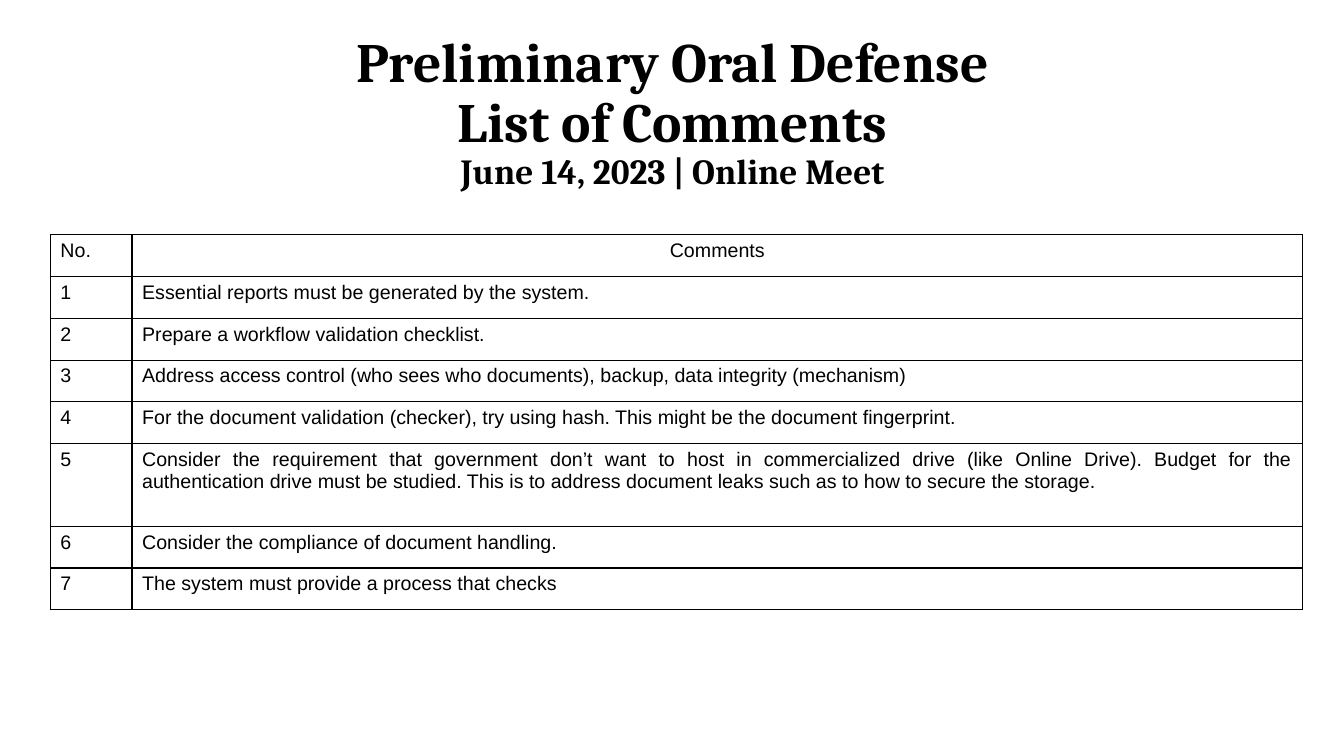
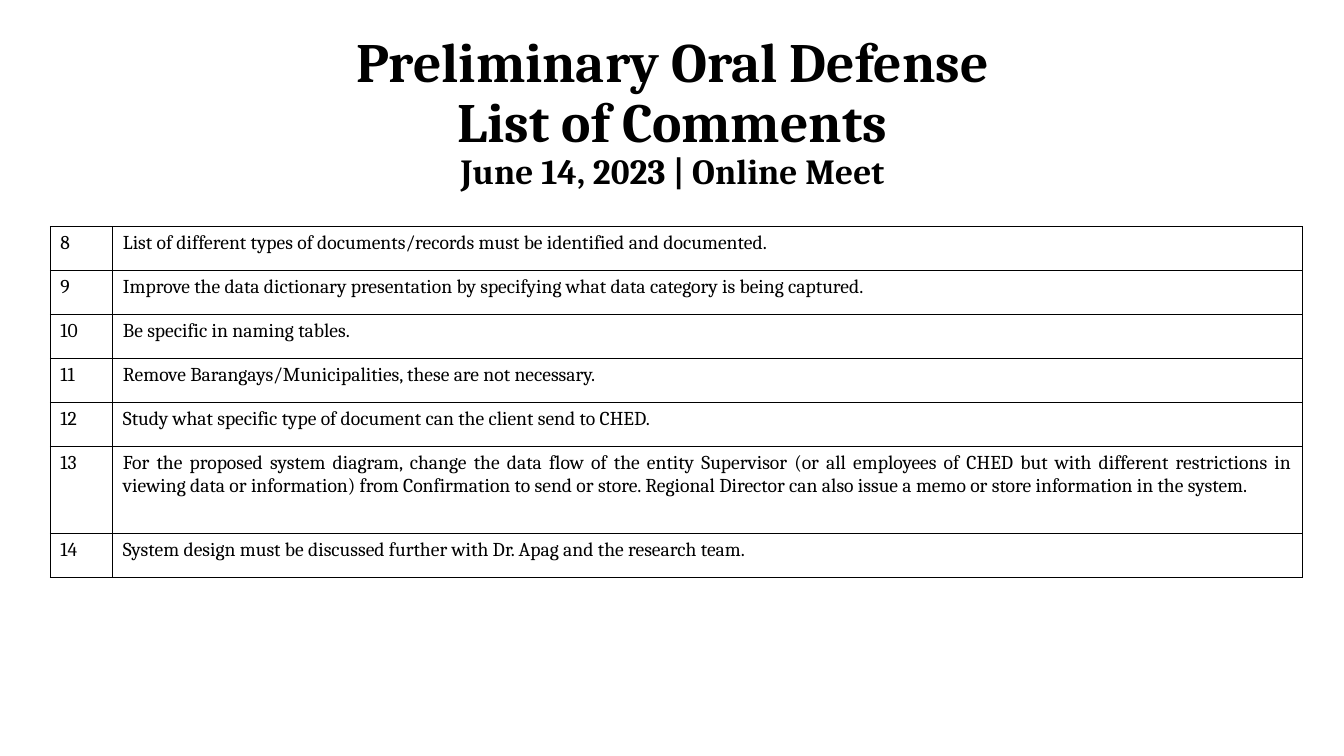
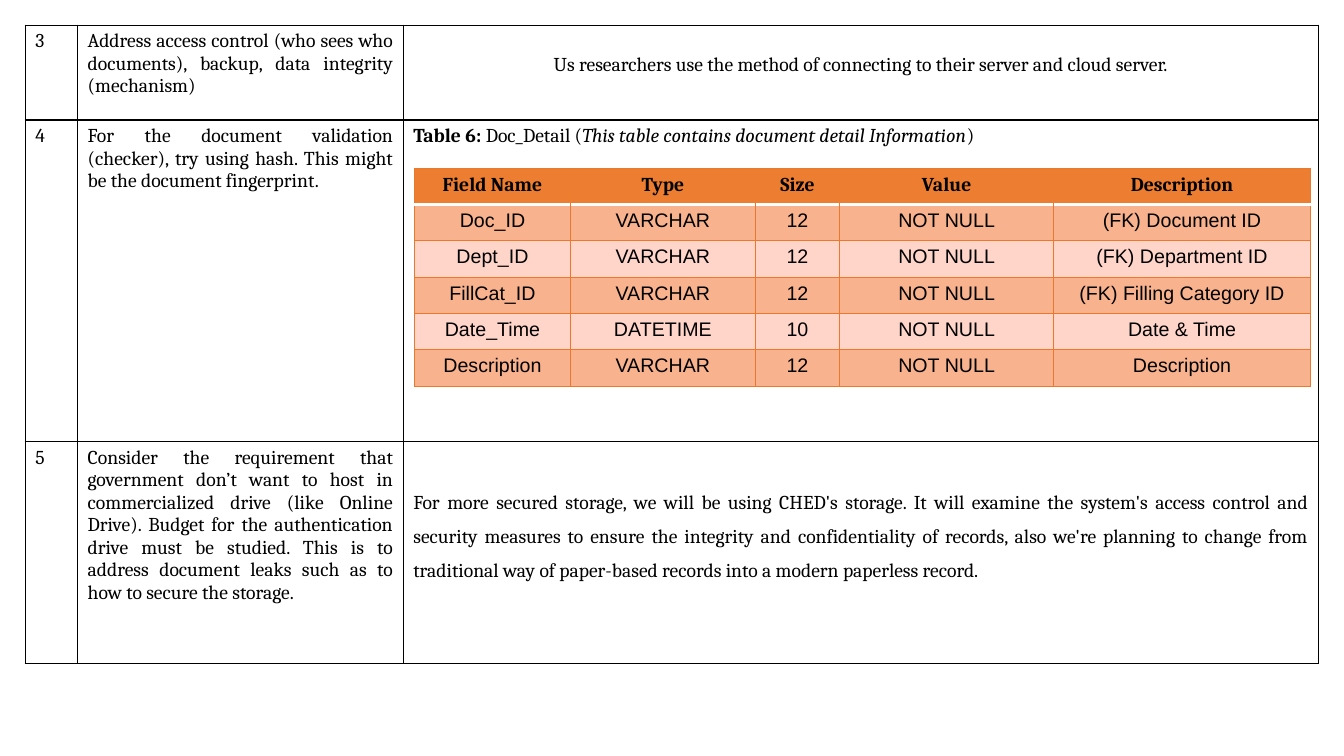
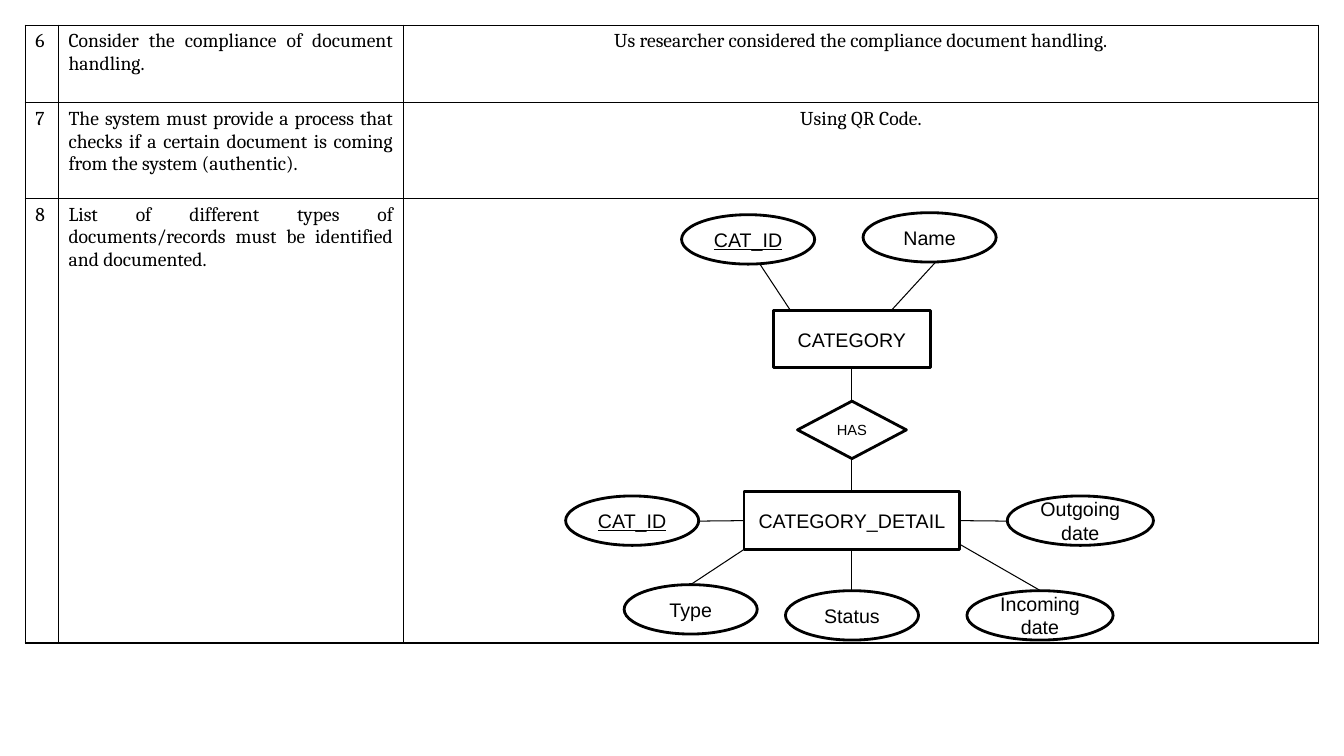
from dataclasses import dataclass

from lxml.etree import SubElement
from pptx import Presentation
from pptx.dml.color import RGBColor
from pptx.enum.shapes import MSO_CONNECTOR, MSO_SHAPE
from pptx.enum.text import MSO_ANCHOR, MSO_AUTO_SIZE, PP_ALIGN
from pptx.oxml.ns import qn
from pptx.util import Emu, Pt

EMU_PER_PX = 9144
SLIDE_SIZE = (1333, 750)
COLORS = {
    "ink": "000000",
    "paper": "FFFFFF",
    "header": "ED7D31",
    "rule": "EC792B",
    "dark_band": "F8B28D",
    "light_band": "FFD5CA",
}
SERIF, SANS = "Cambria", "Arial"
BODY_SIZE = 14
LEFT, CENTER, JUSTIFY = PP_ALIGN.LEFT, PP_ALIGN.CENTER, PP_ALIGN.JUSTIFY


@dataclass
class Cell:
    runs: list
    align: PP_ALIGN = LEFT
    font: str = SERIF
    top_margin: int = 5
    spacing: float = 1.0


TITLE_BOX = (92, 40, 1150, 145)
TITLE_LINES = [
    ("Preliminary Oral Defense", 39.6),
    ("List of Comments", 39.6),
    ("June 14, 2023 | Online Meet", 25.2),
]

ACCESS = "Address access control (who sees who documents), backup, data integrity (mechanism)"
HASH = "For the document validation (checker), try using hash. This might be the document fingerprint."
STORAGE = (
    "Consider the requirement that government don’t want to host in commercialized drive "
    "(like Online Drive). Budget for the authentication drive must be studied. This is to address "
    "document leaks such as to how to secure the storage."
)
COMPLIANCE = "Consider the compliance of document handling."
RECORD_TYPES = "List of different types of documents/records must be identified and documented."

COMMENT_SLIDES = [
    {
        "top": 233, "height": 372, "tall_height": 82, "tall_row": 5,
        "columns": [81, 1161], "font": SANS, "heading": ("No.", "Comments"), "first": 1,
        "comments": [
            "Essential reports must be generated by the system.",
            "Prepare a workflow validation checklist.",
            ACCESS,
            HASH,
            STORAGE,
            COMPLIANCE,
            "The system must provide a process that checks",
        ],
    },
    {
        "top": 225, "height": 348, "tall_height": 86, "tall_row": 5,
        "columns": [62, 1180], "font": SERIF, "heading": None, "first": 8,
        "comments": [
            RECORD_TYPES,
            "Improve the data dictionary presentation by specifying what data category is being captured.",
            "Be specific in naming tables.",
            "Remove Barangays/Municipalities, these are not necessary.",
            "Study what specific type of document can the client send to CHED.",
            "For the proposed system diagram, change the data flow of the entity Supervisor (or all "
            "employees of CHED but with different restrictions in viewing data or information) from "
            "Confirmation to send or store. Regional Director can also issue a memo or store "
            "information in the system.",
            "System design must be discussed further with Dr. Apag and the research team.",
        ],
    },
]

STORAGE_REPLIES = {
    "columns": [52, 323, 908],
    "heights": [94, 319, 220],
    "rows": [
        ("3", ACCESS, Cell([(
            "Us researchers use the method of connecting to their server and cloud server.", "")],
            CENTER, top_margin=28)),
        ("4", HASH, Cell([
            ("Table 6: ", "b"),
            ("Doc_Detail (", ""),
            ("This table contains document detail Information", "i"),
            (")", ""),
        ], JUSTIFY)),
        ("5", STORAGE, Cell([(
            "For more secured storage, we will be using CHED's storage. It will examine the system's "
            "access control and security measures to ensure the integrity and confidentiality of "
            "records, also we're planning to change from traditional way of paper-based records into "
            "a modern paperless record.", "")], JUSTIFY, top_margin=39, spacing=1.5)),
    ],
}

RECORD_REPLIES = {
    "columns": [33, 342, 908],
    "heights": [77, 95, 441],
    "rows": [
        ("6", COMPLIANCE, Cell([(
            "Us researcher considered the compliance document handling.", "")], CENTER)),
        ("7", "The system must provide a process that checks if a certain document is coming from "
              "the system (authentic).", Cell([("Using QR Code.", "")], CENTER)),
        ("8", RECORD_TYPES, Cell([])),
    ],
}

FIELD_COLUMNS = [155, 183, 84, 212, 255]
FIELD_ROW_HEIGHT = 36
FIELDS = [
    ("Field Name", "Type", "Size", "Value", "Description"),
    ("Doc_ID", "VARCHAR", "12", "NOT NULL", "(FK) Document ID"),
    ("Dept_ID", "VARCHAR", "12", "NOT NULL", "(FK) Department ID"),
    ("FillCat_ID", "VARCHAR", "12", "NOT NULL", "(FK) Filling Category ID"),
    ("Date_Time", "DATETIME", "10", "NOT NULL", "Date & Time"),
    ("Description", "VARCHAR", "12", "NOT NULL", "Description"),
]

ENTITY, RELATION, ATTRIBUTE = MSO_SHAPE.RECTANGLE, MSO_SHAPE.FLOWCHART_DECISION, MSO_SHAPE.OVAL
NODES = {
    "category": (ENTITY, "CATEGORY", (767, 308, 156, 57)),
    "has": (RELATION, "HAS", (791, 398, 108, 57)),
    "detail": (ENTITY, "CATEGORY_DETAIL", (738, 488, 214, 57)),
    "category_id": (ATTRIBUTE, "CAT_ID", (676, 213, 132, 49)),
    "name": (ATTRIBUTE, "Name", (856, 211, 132, 49)),
    "detail_id": (ATTRIBUTE, "CAT_ID", (561, 492, 132, 49)),
    "type": (ATTRIBUTE, "Type", (619, 580, 132, 49)),
    "status": (ATTRIBUTE, "Status", (779, 586, 132, 49)),
    "incoming": (ATTRIBUTE, "Incoming date", (959, 586, 145, 49)),
    "outgoing": (ATTRIBUTE, "Outgoing date", (999, 492, 145, 49)),
}
KEYS = {"category_id", "detail_id"}
LINKS = [
    (("category", 2), ("has", 0)),
    (("has", 2), ("detail", 0)),
    (("detail", 1), (693, 517)),
    (("detail", 3), (999, 517)),
    (("detail", 2), (845, 586)),
    ((784, 308), (753, 261)),
    ((884, 308), (928, 260)),
    ((738, 545), (685, 580)),
    ((952, 540), (1032, 586)),
]


def px(length):
    return Emu(round(length * EMU_PER_PX))


def rgb(name):
    return RGBColor.from_string(COLORS[name])


def add_run(paragraph, text, size=BODY_SIZE, font=SERIF, style=""):
    run = paragraph.add_run()
    run.text = text
    run.font.size = Pt(size)
    run.font.name = font
    run.font.bold = "b" in style
    run.font.italic = "i" in style
    run.font.underline = "u" in style
    run.font.color.rgb = rgb("ink")


def add_title(slide):
    title = slide.shapes.title
    title.left, title.top, title.width, title.height = map(px, TITLE_BOX)
    frame = title.text_frame
    frame.auto_size = MSO_AUTO_SIZE.NONE
    frame.vertical_anchor = MSO_ANCHOR.MIDDLE
    paragraph = frame.paragraphs[0]
    paragraph.alignment = CENTER
    paragraph.line_spacing = 0.9
    for index, (line, size) in enumerate(TITLE_LINES):
        if index:
            paragraph.add_line_break()
        add_run(paragraph, line, size, style="b")


def set_borders(cell, borders):
    properties = cell._tc.get_or_add_tcPr()
    for side in "LRTB":
        color, width = borders[side]
        line = SubElement(properties, qn(f"a:ln{side}"), w=str(Pt(width)))
        if color:
            fill = SubElement(line, qn("a:solidFill"))
            SubElement(fill, qn("a:srgbClr"), val=COLORS[color])
        else:
            SubElement(line, qn("a:noFill"))


def add_grid(slide, left, top, columns, heights, rows, borders_at, fill_at):
    table = slide.shapes.add_table(
        len(heights), len(columns), px(left), px(top), px(sum(columns)), px(sum(heights))
    ).table
    table.first_row = table.horz_banding = False
    for column, width in zip(table.columns, columns):
        column.width = px(width)
    for r, (row, height) in enumerate(zip(rows, heights)):
        table.rows[r].height = px(height)
        for c, content in enumerate(row):
            cell = table.cell(r, c)
            set_borders(cell, borders_at(r, c))
            color = fill_at(r)
            if color:
                cell.fill.solid()
                cell.fill.fore_color.rgb = rgb(color)
            else:
                cell.fill.background()
            cell.margin_top = px(content.top_margin)
            paragraph = cell.text_frame.paragraphs[0]
            paragraph.alignment = content.align
            paragraph.line_spacing = content.spacing
            for text, style in content.runs:
                add_run(paragraph, text, font=content.font, style=style)


def add_plain_grid(slide, left, top, columns, heights, rows):
    add_grid(slide, left, top, columns, heights, rows,
             lambda r, c: dict.fromkeys("LRTB", ("ink", 1)), lambda r: None)


def add_comments(slide, part):
    font = part["font"]
    rows = [
        (Cell([(str(number), "")], LEFT, font), Cell([(comment, "")], JUSTIFY, font))
        for number, comment in enumerate(part["comments"], part["first"])
    ]
    if part["heading"]:
        number, comment = part["heading"]
        rows.insert(0, (Cell([(number, "")], LEFT, font), Cell([(comment, "")], CENTER, font)))
    regular = (part["height"] - part["tall_height"]) / (len(rows) - 1)
    heights = [regular] * len(rows)
    heights[part["tall_row"]] = part["tall_height"]
    add_plain_grid(slide, 50, part["top"], part["columns"], heights, rows)


def add_replies(slide, part):
    rows = [
        (Cell([(number, "")]), Cell([(comment, "")], JUSTIFY), reply)
        for number, comment, reply in part["rows"]
    ]
    add_plain_grid(slide, 25, 25, part["columns"], part["heights"], rows)


def field_borders(r, c):
    borders = dict.fromkeys("LRTB", ("rule", 0.75))
    if r == 0:
        borders["B"] = ("paper", 2)
        if c > 0:
            borders["L"] = (None, 0)
        if c < len(FIELD_COLUMNS) - 1:
            borders["R"] = (None, 0)
    elif r == 1:
        borders["T"] = ("paper", 2)
    return borders


def field_fill(r):
    if r == 0:
        return "header"
    return "dark_band" if r % 2 else "light_band"


def add_fields(slide):
    rows = [
        [Cell([(text, "" if r else "b")], CENTER, SANS if r else SERIF) for text in row]
        for r, row in enumerate(FIELDS)
    ]
    add_grid(slide, 411, 167, FIELD_COLUMNS, [FIELD_ROW_HEIGHT] * len(rows), rows,
             field_borders, field_fill)


def add_node(slide, key):
    kind, label, box = NODES[key]
    node = slide.shapes.add_shape(kind, *map(px, box))
    node.shadow.inherit = False
    node.fill.solid()
    node.fill.fore_color.rgb = rgb("paper")
    node.line.color.rgb = rgb("ink")
    node.line.width = Pt(2)
    frame = node.text_frame
    frame.word_wrap = True
    frame.vertical_anchor = MSO_ANCHOR.MIDDLE
    frame.margin_left = frame.margin_right = px(5)
    paragraph = frame.paragraphs[0]
    paragraph.alignment = CENTER
    size = 10.5 if kind == RELATION else BODY_SIZE
    add_run(paragraph, label, size, SANS, "u" if key in KEYS else "")
    return node


def add_link(slide, nodes, start, end):
    points = [(0, 0) if point[0] in nodes else point for point in (start, end)]
    link = slide.shapes.add_connector(
        MSO_CONNECTOR.STRAIGHT, *(px(value) for point in points for value in point)
    )
    for point, join in ((start, link.begin_connect), (end, link.end_connect)):
        if point[0] in nodes:
            join(nodes[point[0]], point[1])
    link.line.color.rgb = rgb("ink")
    link.line.width = Pt(0.75)
    SubElement(link._element.spPr, qn("a:effectLst"))


def add_diagram(slide):
    nodes = {key: add_node(slide, key) for key in NODES}
    for start, end in LINKS:
        add_link(slide, nodes, start, end)


def main():
    deck = Presentation()
    deck.slide_width, deck.slide_height = map(px, SLIDE_SIZE)
    title_only, blank = deck.slide_layouts[5], deck.slide_layouts[6]
    for part in COMMENT_SLIDES:
        slide = deck.slides.add_slide(title_only)
        add_title(slide)
        add_comments(slide, part)
    for part, add_detail in ((STORAGE_REPLIES, add_fields), (RECORD_REPLIES, add_diagram)):
        slide = deck.slides.add_slide(blank)
        add_replies(slide, part)
        add_detail(slide)
    deck.save("out.pptx")


if __name__ == "__main__":
    main()
